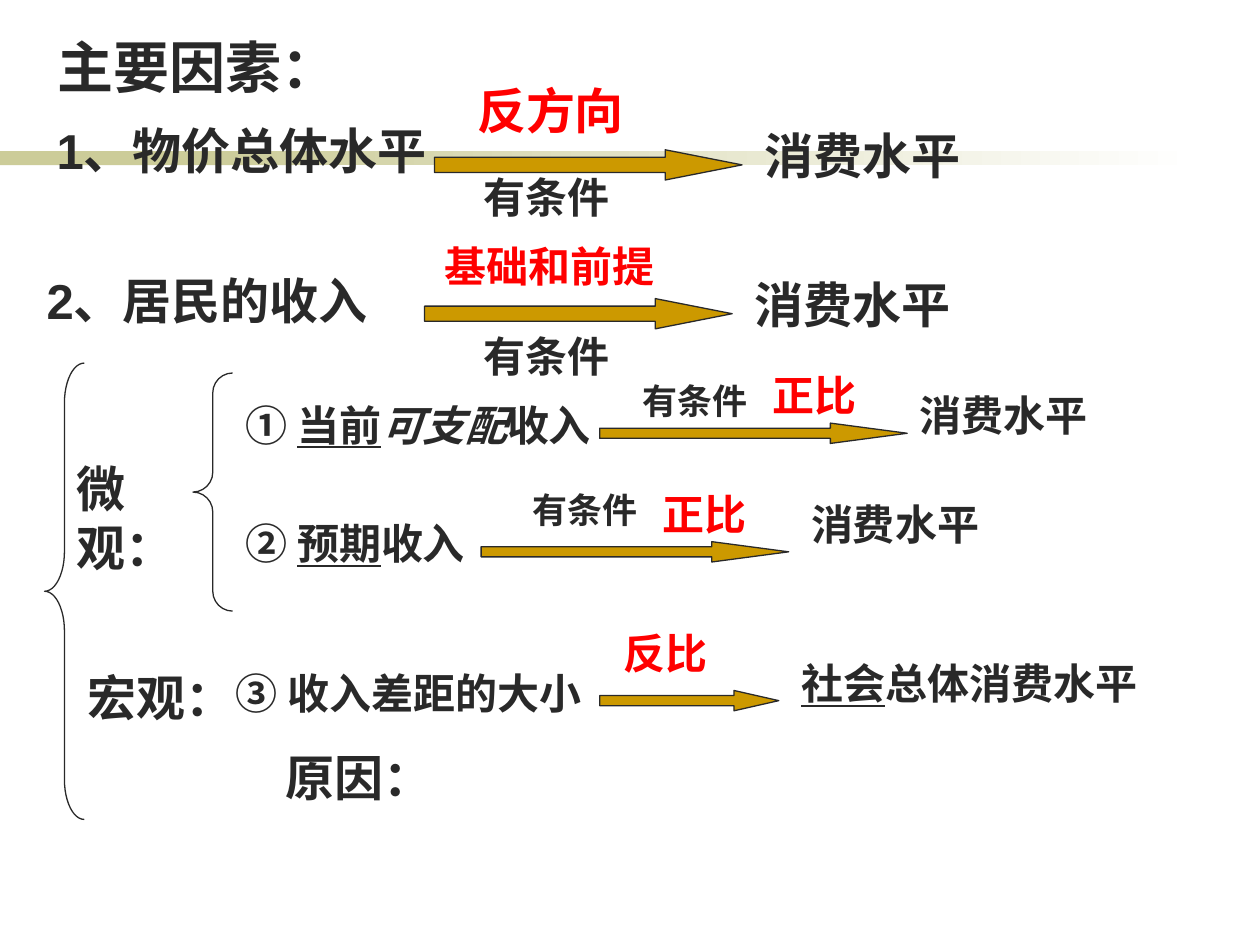
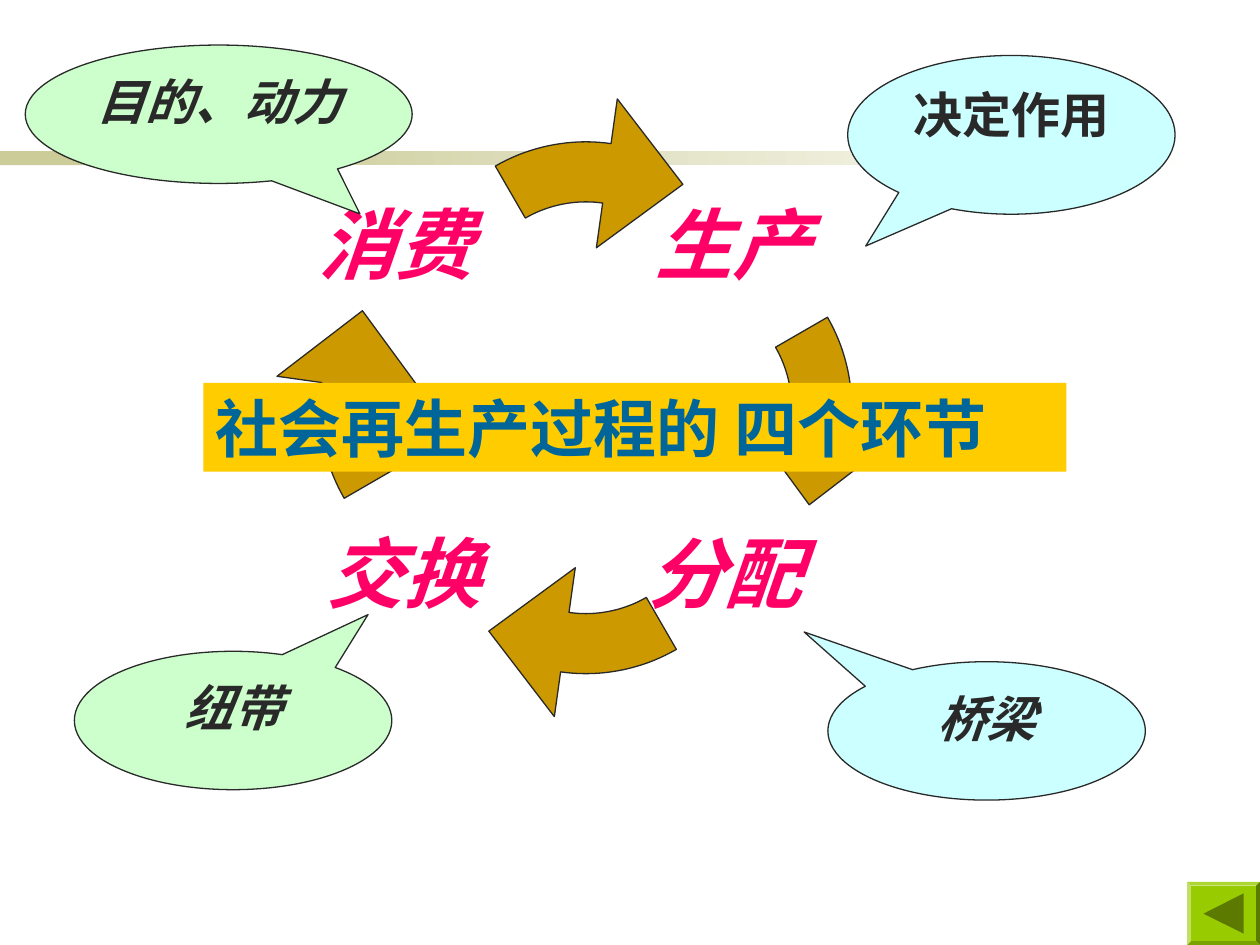
import math
from typing import NamedTuple, Optional

import pptx
import pptx.dml.color
import pptx.enum.shapes
import pptx.enum.text
import pptx.oxml.ns
import pptx.util
from pptx.util import Cm, Pt

SHAPE = pptx.enum.shapes.MSO_SHAPE
ALIGN = pptx.enum.text.PP_ALIGN
ANCHOR = pptx.enum.text.MSO_ANCHOR

INK = "292929"
RED = "FF0000"
PINK = "FF0066"
TEAL = "006699"
OCHRE = "CC9900"
YELLOW = "FFCC00"
SAND = "CCCC99"
WHITE = "FFFFFF"
GREEN = "99CC00"
DARK_GREEN = "5C7A00"
PALE_BLUE = "CCFFFF"
PALE_GREEN = "CCFFCC"
LATIN = "Arial"
CJK = "Noto Sans CJK SC"


class Span(NamedTuple):
    text: str
    underline: bool = False
    italic: bool = False


class Label(NamedTuple):
    left: float
    top: float
    width: float
    spans: list[Span]
    size: int = 24
    color: str = INK
    font: str = LATIN
    right_inset: float = 0.25


class Arrow(NamedTuple):
    left: float
    top: float
    width: float
    height: float


class Brace(NamedTuple):
    left: float
    top: float
    width: float
    height: float
    curve: float


class Stage(NamedTuple):
    text: str
    left: float
    top: float


class Callout(NamedTuple):
    text: str
    left: float
    top: float
    width: float
    height: float
    tail: tuple[float, float]
    fill: str
    italic: bool = True


LABELS = [
    Label(0.91, 0.53, 6.3, [Span("主要因素：")], 32),
    Label(0.89, 2.31, 8.41, [Span("1、物价总体水平")], 28),
    Label(15.16, 2.41, 5.33, [Span("消费水平")], 28),
    Label(9.37, 1.5, 3.7, [Span("反方向")], 28, RED),
    Label(9.5, 3.33, 3.15, [Span("有条件")]),
    Label(0.69, 5.33, 8, [Span("2、居民的收入")], 28),
    Label(14.96, 5.41, 4.95, [Span("消费水平")], 28),
    Label(8.71, 4.72, 5.36, [Span("基础和前提")], color=RED),
    Label(9.5, 6.53, 3.15, [Span("有条件")]),
    Label(1.3, 9.12, 3.4, [Span("微观：")], 28, font=CJK, right_inset=1.25),
    Label(1.52, 13.34, 3.7, [Span("宏观：")], 28, font=CJK),
    Label(4.7, 7.92, 7.8, [Span("① "), Span("当前", underline=True),
                           Span("可支配", italic=True), Span("收入")]),
    Label(15.32, 7.32, 2.4, [Span("正比")], color=RED),
    Label(12.7, 7.52, 2.79, [Span("有条件")], 20),
    Label(18.29, 7.72, 4.39, [Span("消费水平")]),
    Label(4.7, 10.31, 5.38, [Span("② "), Span("预期", underline=True), Span("收入")]),
    Label(13.11, 9.73, 2.4, [Span("正比")], color=RED),
    Label(10.49, 9.73, 2.79, [Span("有条件")], 20),
    Label(16.1, 9.93, 4.39, [Span("消费水平")]),
    Label(4.5, 13.34, 7.8, [Span("③ 收入差距的大小")]),
    Label(12.32, 12.52, 2.4, [Span("反比")], color=RED),
    Label(15.9, 13.13, 7.59, [Span("社会", underline=True), Span("总体消费水平")]),
    Label(5.51, 14.94, 3.7, [Span("原因：")], 28),
]

ARROWS = [
    Arrow(8.76, 3.02, 6.2, 0.61),
    Arrow(8.56, 6.02, 6.2, 0.61),
    Arrow(12.09, 8.53, 6.2, 0.41),
    Arrow(9.7, 10.92, 6.2, 0.41),
    Arrow(12.09, 13.92, 3.61, 0.41),
]

BRACES = [
    Brace(0.9, 7.32, 0.8, 9.2, 1),
    Brace(3.89, 7.52, 0.8, 4.8, 0.5),
]

STAGES = [
    Stage("生产", 13.01, 3.53),
    Stage("分配", 12.85, 10.16),
    Stage("交换", 6.38, 10.16),
    Stage("消费", 6.22, 3.53),
]

CALLOUTS = [
    Callout("决定作用", 17.09, 1.12, 6.6, 3.2, (-0.445, 0.7), PALE_BLUE, False),
    Callout("桥梁", 16.69, 13.34, 6.4, 2.79, (-0.575, -0.715), PALE_BLUE),
    Callout("目的、动力", 0.51, 0.91, 7.8, 2.79, (0.365, 0.72), PALE_GREEN),
    Callout("纽带", 1.5, 13.13, 6.4, 2.79, (0.425, -0.765), PALE_GREEN),
]


def rgb(color: str) -> pptx.dml.color.RGBColor:
    return pptx.dml.color.RGBColor.from_string(color)


def paint(shape, fill: Optional[str], line: Optional[str] = None) -> None:
    shape.shadow.inherit = False
    if fill:
        shape.fill.solid()
        shape.fill.fore_color.rgb = rgb(fill)
    else:
        shape.fill.background()
    if line:
        shape.line.color.rgb = rgb(line)
        shape.line.width = Pt(0.75)
    else:
        shape.line.fill.background()


def add_preset(slide, kind, left: float, top: float, width: float, height: float,
               fill: Optional[str], line: Optional[str] = None):
    shape = slide.shapes.add_shape(kind, Cm(left), Cm(top), Cm(width), Cm(height))
    paint(shape, fill, line)
    return shape


def add_polygon(slide, points: list[tuple[float, float]], fill: str,
                line: Optional[str] = None) -> None:
    """Draw a closed outline through points given in centimetres."""
    corners = [(Cm(x), Cm(y)) for x, y in points]
    builder = slide.shapes.build_freeform(*corners[0])
    builder.add_line_segments(corners[1:], close=True)
    paint(builder.convert_to_shape(), fill, line)


def write(shape, spans: list[Span], size: int, color: str, font: str = LATIN,
          align=ALIGN.LEFT, anchor=ANCHOR.TOP) -> None:
    frame = shape.text_frame
    frame.word_wrap = True
    frame.vertical_anchor = anchor
    para = frame.paragraphs[0]
    para.alignment = align
    for span in spans:
        run = para.add_run()
        run.text = span.text
        run.font.name = font
        run.font.size = Pt(size)
        run.font.bold = True
        run.font.italic = span.italic
        run.font.underline = span.underline
        run.font.color.rgb = rgb(color)
        east_asian = run.font._element.makeelement(
            pptx.oxml.ns.qn("a:ea"), {"typeface": CJK})
        run.font._element.find(pptx.oxml.ns.qn("a:latin")).addnext(east_asian)


def line_height(size: int) -> float:
    """Height in centimetres of a one-line box at this text size."""
    return 0.26 + 0.0425 * size


def add_label(slide, label: Label) -> None:
    box = slide.shapes.add_textbox(Cm(label.left), Cm(label.top), Cm(label.width),
                                   Cm(line_height(label.size)))
    write(box, label.spans, label.size, label.color, label.font)
    box.text_frame.margin_right = Cm(label.right_inset)
    box.text_frame.auto_size = pptx.enum.text.MSO_AUTO_SIZE.SHAPE_TO_FIT_TEXT


def add_arrow(slide, arrow: Arrow) -> None:
    shape = add_preset(slide, SHAPE.RIGHT_ARROW, *arrow, OCHRE, INK)
    shape.adjustments[1] = arrow.width / 4 / arrow.height


def add_brace(slide, brace: Brace) -> None:
    shape = add_preset(slide, SHAPE.LEFT_BRACE, *brace[:4], None, INK)
    shape.adjustments[0] = brace.curve


def add_cycle_arrow(slide, turn: int) -> None:
    """Draw the curved arrow of the cycle turned clockwise by this many degrees."""
    outward = math.radians(turn - 90)
    center_x = 11.81 + 1.71 * math.cos(outward)
    center_y = 8.22 + 1.71 * math.sin(outward)
    start, neck, tip = -120, -82, -55
    sweep = range(start, neck + 1, 2)
    polar = [(2.44, angle) for angle in reversed(sweep)]
    polar += [(3.65, angle) for angle in sweep]
    polar += [(4.56, neck), (3.41, tip), (1.53, neck)]
    points = []
    for radius, angle in polar:
        direction = math.radians(angle + turn)
        points.append((center_x + radius * math.cos(direction),
                       center_y + radius * math.sin(direction)))
    add_polygon(slide, points, OCHRE, INK)


def add_stage(slide, stage: Stage) -> None:
    box = slide.shapes.add_textbox(Cm(stage.left), Cm(stage.top), Cm(3.5), Cm(2.74))
    frame = box.text_frame
    frame.margin_left = frame.margin_right = frame.margin_top = frame.margin_bottom = 0
    write(box, [Span(stage.text, italic=True)], 44, PINK, CJK, ALIGN.CENTER,
          ANCHOR.MIDDLE)


def add_callout(slide, callout: Callout) -> None:
    shape = add_preset(slide, SHAPE.OVAL_CALLOUT, callout.left, callout.top,
                       callout.width, callout.height, callout.fill, INK)
    shape.adjustments[0], shape.adjustments[1] = callout.tail
    write(shape, [Span(callout.text, italic=callout.italic)], 28, INK,
          align=ALIGN.CENTER)


def add_back_button(slide) -> None:
    button = add_preset(slide, SHAPE.BEVEL, 23.93, 17.78, 1.47, 1.27, GREEN)
    button.adjustments[0] = 0.06
    add_polygon(slide, [(24.26, 18.42), (25.07, 18.01), (25.07, 18.82)], DARK_GREEN)


def add_page(deck):
    """Add a blank slide with the fading band."""
    page = deck.slides.add_slide(deck.slide_layouts[6])
    add_preset(page, SHAPE.RECTANGLE, 0, 3.05, 5.92, 0.28, SAND)
    fade = add_preset(page, SHAPE.RECTANGLE, 4.01, 3.05, 20.12, 0.28, SAND)
    fade.fill.gradient()
    fade.fill.gradient_angle = 0
    for stop, color in zip(fade.fill.gradient_stops, (SAND, WHITE)):
        stop.color.rgb = rgb(color)
    return page


def build_factors(deck) -> None:
    page = add_page(deck)
    for label in LABELS:
        add_label(page, label)
    for arrow in ARROWS:
        add_arrow(page, arrow)
    for brace in BRACES:
        add_brace(page, brace)


def build_cycle(deck) -> None:
    page = add_page(deck)
    for turn in range(0, 360, 90):
        add_cycle_arrow(page, turn)
    for stage in STAGES:
        add_stage(page, stage)
    for callout in CALLOUTS:
        add_callout(page, callout)
    banner = add_preset(page, SHAPE.RECTANGLE, 4.1, 7.72, 17.4, line_height(36), YELLOW)
    write(banner, [Span("社会再生产过程的 四个环节")], 36, TEAL)
    add_back_button(page)


def main() -> None:
    deck = pptx.Presentation()
    deck.slide_width, deck.slide_height = Cm(25.4), Cm(19.05)
    build_factors(deck)
    build_cycle(deck)
    deck.save("out.pptx")


if __name__ == "__main__":
    main()
